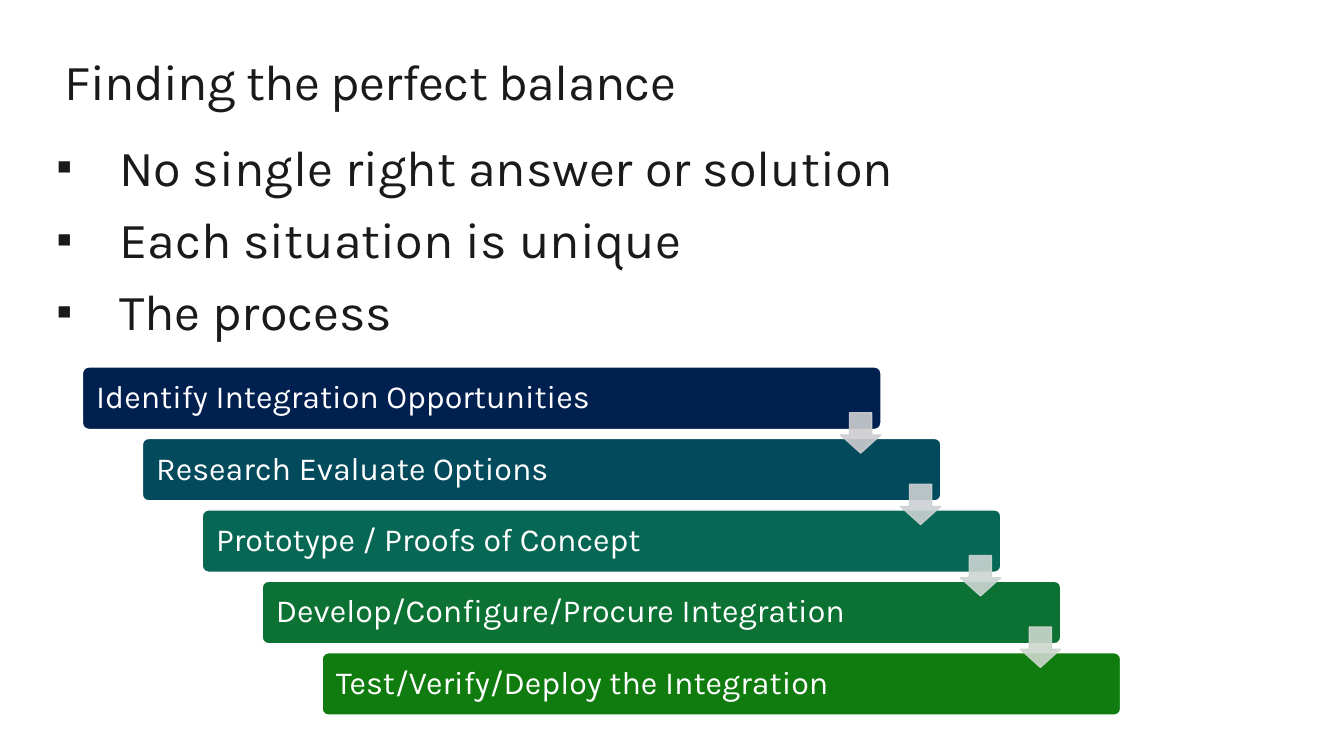
import pptx
import pptx.util
import pptx.dml.color
import pptx.enum.shapes
import pptx.enum.text
import pptx.oxml
import pptx.oxml.ns

Cm = pptx.util.Cm
Pt = pptx.util.Pt
SHAPE = pptx.enum.shapes.MSO_SHAPE
ANCHOR = pptx.enum.text.MSO_ANCHOR

HUES = {"ink": "1A1A1A", "white": "FFFFFF"}
BARS = {
    "Identify Integration Opportunities": "002050",
    "Research Evaluate Options": "034A5C",
    "Prototype / Proofs of Concept": "066854",
    "Develop/Configure/Procure Integration": "0B7234",
    "Test/Verify/Deploy the Integration": "107C10",
}
ARROWS = ["CCCDD0", "CCD1D3", "CCD5D2", "CDD7CD"]
POINTS = [
    "No single right answer or solution",
    "Each situation is unique",
    "The process",
]
STEP_X, STEP_Y = 1.51, 1.8


def rgb(hue):
    return pptx.dml.color.RGBColor.from_string(hue)


def add_tag(parent, tag, **attrs):
    node = pptx.oxml.ns.qn(tag)
    child = parent.makeelement(node, attrs)
    parent.append(child)


def place(shape, left, top, width, height):
    shape.left, shape.top = Cm(left), Cm(top)
    shape.width, shape.height = Cm(width), Cm(height)


def write(shape, lines, size=36, hue="ink", anchor=ANCHOR.TOP, inset=0,
          before=0, lead=1.0, track=None, bullet=None):
    frame = shape.text_frame
    frame.word_wrap = True
    frame.auto_size = pptx.enum.text.MSO_AUTO_SIZE.NONE
    frame.vertical_anchor = anchor
    frame.margin_left = frame.margin_right = Cm(inset)
    frame.margin_top = frame.margin_bottom = 0
    for num, line in enumerate(lines):
        para = frame.add_paragraph() if num else frame.paragraphs[0]
        para.alignment = pptx.enum.text.PP_ALIGN.LEFT
        para.line_spacing = lead
        para.space_before = Pt(before)
        run = para.add_run()
        run.text = line
        run.font.name = "Karla"
        run.font.size = Pt(size)
        run.font.color.rgb = rgb(HUES[hue])
        if track:
            run.font._element.set("spc", str(track))
        if bullet:
            props = para._p.get_or_add_pPr()
            indent = Cm(1.58)
            props.set("marL", str(indent))
            props.set("indent", str(-indent))
            add_tag(props, "a:buSzPct", val="90000")
            add_tag(props, "a:buFont", typeface="Arial")
            add_tag(props, "a:buChar", char=bullet)


def add_form(slide, kind, box, hue, edge, adjust):
    form = slide.shapes.add_shape(kind, *(Cm(side) for side in box))
    form.shadow.inherit = False
    form.fill.solid()
    form.fill.fore_color.rgb = rgb(hue)
    form.line.color.rgb = rgb(edge)
    form.line.width = Pt(0.85)
    for num, value in enumerate(adjust):
        form.adjustments[num] = value
    return form


def add_bar(slide, num, text, hue):
    box = (2.08 + num * STEP_X, 9.25 + num * STEP_Y, 20.12, 1.57)
    bar = add_form(slide, SHAPE.ROUNDED_RECTANGLE, box, hue,
                   HUES["white"], [0.1])
    write(bar, [text], size=23, hue="white", anchor=ANCHOR.MIDDLE,
          inset=0.3, lead=0.9)


def add_arrow(slide, num, hue):
    box = (21.18 + num * STEP_X, 10.4 + num * STEP_Y, 1.02, 1.02)
    arrow = add_form(slide, SHAPE.DOWN_ARROW, box, hue, hue, [0.55, 0.45])
    for tone in arrow._element.spPr.iter(pptx.oxml.ns.qn("a:srgbClr")):
        add_tag(tone, "a:alpha", val="90000")


def main():
    deck = pptx.Presentation()
    deck.slide_width, deck.slide_height = Cm(33.87), Cm(19.05)
    slide = deck.slides.add_slide(deck.slide_layouts[1])
    title, body = slide.placeholders
    place(title, 1.63, 1.27, 30.6, 1.55)
    write(title, ["Finding the perfect balance"], track=-50)
    place(body, 1.42, 3.43, 31.04, 10.29)
    write(body, POINTS, before=8.4, bullet="▪")
    for num, (text, hue) in enumerate(BARS.items()):
        add_bar(slide, num, text, hue)
    for num, hue in enumerate(ARROWS):
        add_arrow(slide, num, hue)
    deck.save("out.pptx")


if __name__ == "__main__":
    main()
